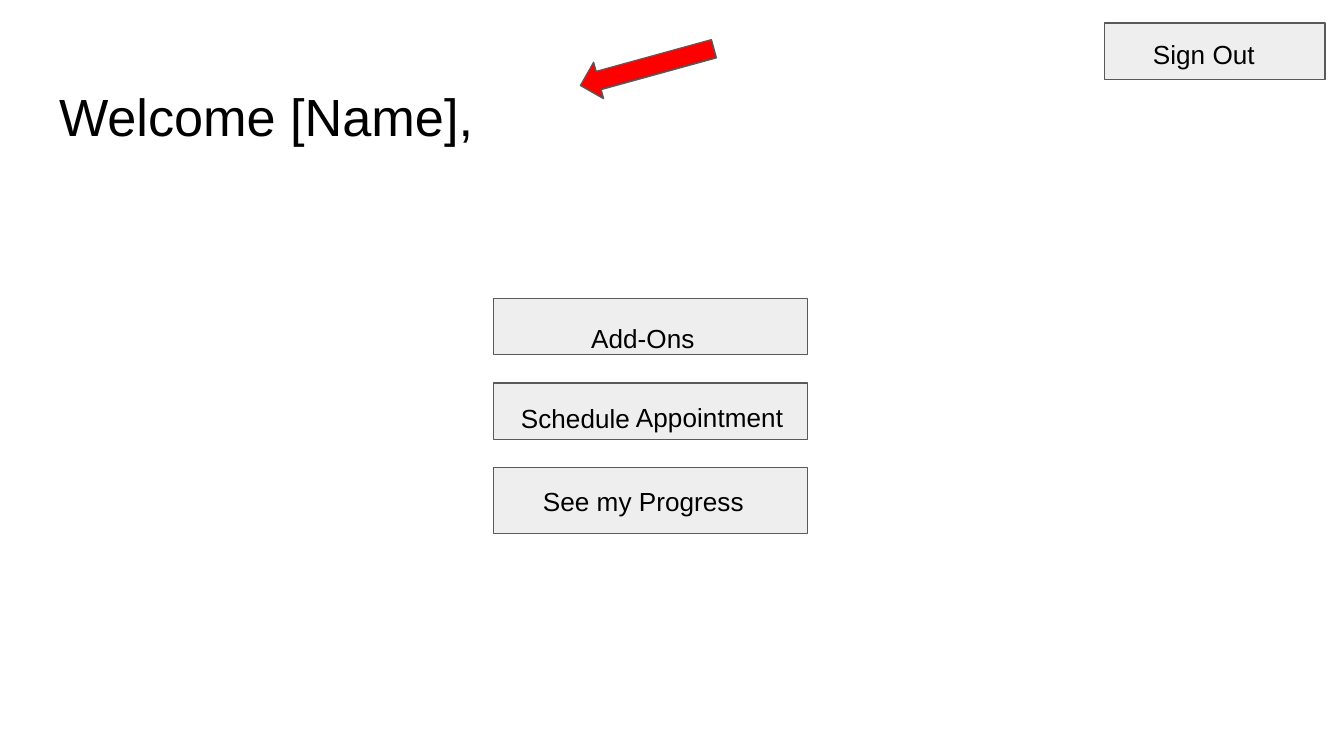
from typing import NamedTuple

from pptx import Presentation
from pptx.dml.color import RGBColor
from pptx.enum.shapes import MSO_SHAPE
from pptx.enum.text import MSO_ANCHOR, MSO_AUTO_SIZE, PP_ALIGN
from pptx.util import Pt

FONT = "Arial"
INSET = 7.2
BUTTON_H = 30.24
MENU_LEFT, MENU_TOP, MENU_W, MENU_STEP = 264.24, 159.84, 168.48, 45.36


class Box(NamedTuple):
    left: float
    top: float
    width: float
    height: float


class Label(NamedTuple):
    text: str
    box: Box
    indent: float = 0
    rotation: float = 0


def color(value: str) -> RGBColor:
    return RGBColor.from_string(value)


def write(s, text: str, size: float, left: float = INSET, top: float = INSET,
          anchor=MSO_ANCHOR.TOP) -> None:
    tf = s.text_frame
    frame_format = {
        "margin_left": Pt(left), "margin_top": Pt(top),
        "margin_right": Pt(INSET), "margin_bottom": Pt(INSET),
        "word_wrap": True, "auto_size": MSO_AUTO_SIZE.NONE,
        "vertical_anchor": anchor,
    }
    for name, value in frame_format.items():
        setattr(tf, name, value)
    p = tf.paragraphs[0]
    p.alignment = PP_ALIGN.LEFT
    r = p.add_run()
    r.text = text
    for name, value in {"name": FONT, "size": Pt(size)}.items():
        setattr(r.font, name, value)
    r.font.color.rgb = color("000000")


def add_block(sp, kind, box: Box, fill: str):
    """Add a filled preset shape with the thin grey outline."""
    s = sp.add_shape(kind, *map(Pt, box))
    s.shadow.inherit = False
    s.fill.solid()
    s.fill.fore_color.rgb = color(fill)
    s.line.color.rgb = color("595959")
    s.line.width = Pt(0.75)
    return s


def add_label(sp, label: Label) -> None:
    s = sp.add_textbox(*map(Pt, label.box))
    s.rotation = label.rotation
    write(s, label.text, 14, left=INSET + label.indent, top=8.5)


def main() -> None:
    prs = Presentation()
    prs.slide_width, prs.slide_height = Pt(720), Pt(405)
    slide = prs.slides.add_slide(prs.slide_layouts[5])
    sp = slide.shapes

    title = sp.title
    title_box = Box(24.48, 35.28, 671.04, 45.36)
    for name, value in title_box._asdict().items():
        setattr(title, name, Pt(value))
    write(title, "Welcome [Name],", 28, top=9.9)

    buttons = [Box(591.84, 12.24, 118.08, BUTTON_H)]
    buttons += [Box(MENU_LEFT, MENU_TOP + i * MENU_STEP, MENU_W, height)
                for i, height in enumerate((BUTTON_H, BUTTON_H, 35.28))]
    blocks = [add_block(sp, MSO_SHAPE.RECTANGLE, box, "EEEEEE") for box in buttons]
    write(blocks[-1], "See my Progress", 14, left=26.65, anchor=MSO_ANCHOR.MIDDLE)

    labels = [
        Label("Sign Out", Box(610.56, 12.24, 90, 25.2)),
        Label("Add-Ons", Box(301.68, 164.16, 90, 25.2), indent=7.8),
        Label("Schedule Appointment", Box(267.84, 206.64, 187.2, 16.56),
              indent=3.9, rotation=-0.3),
    ]
    for label in labels:
        add_label(sp, label)

    arrow = add_block(sp, MSO_SHAPE.RIGHT_ARROW, Box(309.6, 25.92, 74.16, 20.16), "FF0000")
    arrow.rotation = 164.6

    prs.save("out.pptx")


if __name__ == "__main__":
    main()
